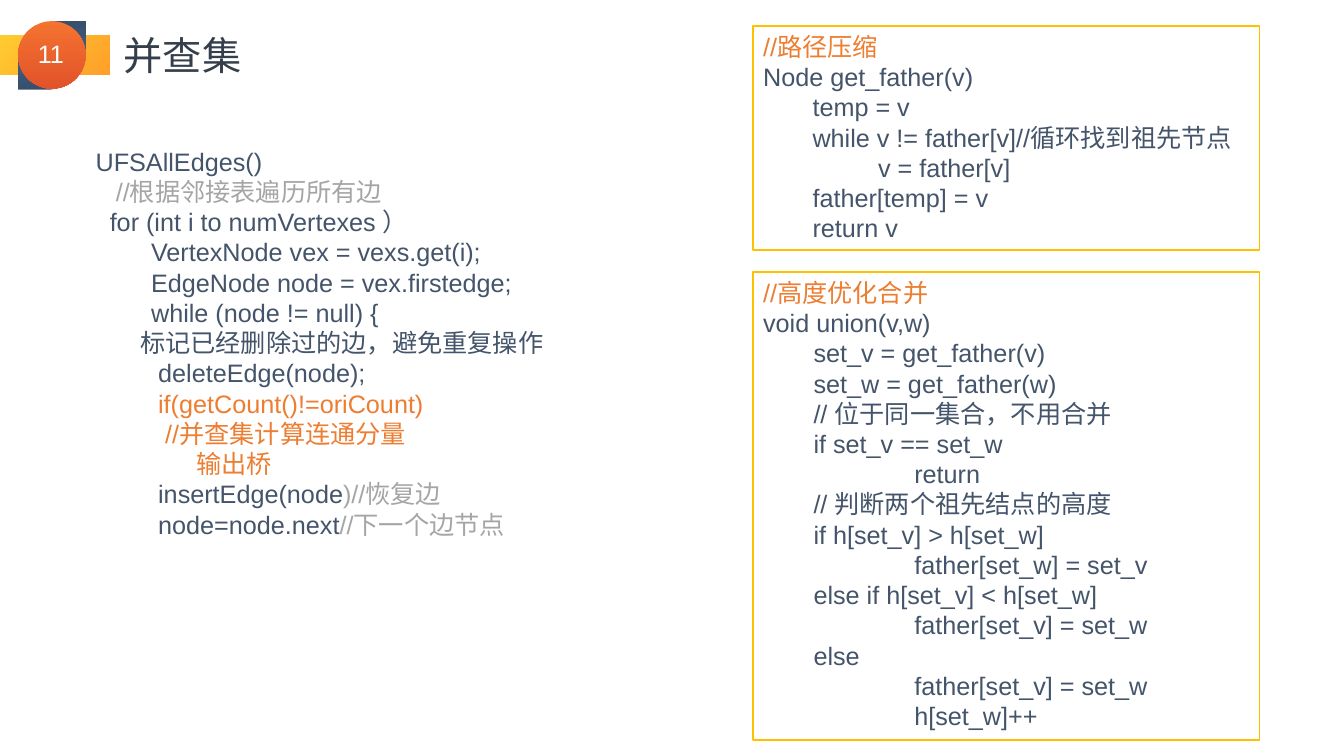
from pptx import Presentation
from pptx.dml.color import RGBColor
from pptx.enum.shapes import MSO_SHAPE
from pptx.enum.text import MSO_ANCHOR, PP_ALIGN
from pptx.util import Inches, Pt

COLORS = {
    "white": "FFFFFF", "code": "44546A", "accent": "ED7D31", "muted": "A5A5A5",
    "title": "353F4B", "frame": "FFC000", "yellow": "FFCC30", "amber": "FF9F2A",
    "navy": "384F6E", "steel": "4A6C90", "orange": "F47331", "rust": "E25329",
}

# Each code line: indent in inches, then (text, colour) pieces
ALL_EDGES = [
    (0, ("UFSAllEdges()", "code")),
    (0.2, ("//根据邻接表遍历所有边", "muted")),
    (0.14, ("for (int i to numVertexes ）", "code")),
    (0.55, ("VertexNode vex = vexs.get(i);", "code")),
    (0.55, ("EdgeNode node = vex.firstedge;", "code")),
    (0.55, ("while (node != null) {", "code")),
    (0.44, ("标记已经删除过的边，避免重复操作", "code")),
    (0.62, ("deleteEdge(node);", "code")),
    (0.62, ("if(getCount()!=oriCount)", "accent")),
    (0.69, ("//并查集计算连通分量", "accent")),
    (1, ("输出桥", "accent")),
    (0.62, ("insertEdge(node", "code"), (")//恢复边", "muted")),
    (0.62, ("node=node.next", "code"), ("//下一个边节点", "muted")),
]
PATH_COMPRESSION = [
    (0, ("//路径压缩", "accent")),
    (0, ("Node get_father(v)", "code")),
    (0.49, ("temp = v", "code")),
    (0.49, ("while v != father[v]//循环找到祖先节点", "code")),
    (1.14, ("v = father[v]", "code")),
    (0.49, ("father[temp] = v", "code")),
    (0.49, ("return v", "code")),
]
UNION_BY_HEIGHT = [
    (0, ("//高度优化合并", "accent")),
    (0, ("void union(v,w)", "code")),
    (0.5, ("set_v = get_father(v)", "code")),
    (0.5, ("set_w = get_father(w)", "code")),
    (0.5, ("// 位于同一集合，不用合并", "code")),
    (0.5, ("if set_v == set_w", "code")),
    (1.5, ("return", "code")),
    (0.5, ("// 判断两个祖先结点的高度", "code")),
    (0.5, ("if h[set_v] > h[set_w]", "code")),
    (1.5, ("father[set_w] = set_v", "code")),
    (0.5, ("else if h[set_v] < h[set_w]", "code")),
    (1.5, ("father[set_v] = set_w", "code")),
    (0.5, ("else", "code")),
    (1.5, ("father[set_v] = set_w", "code")),
    (1.5, ("h[set_w]++", "code")),
]


class SlideBuilder:
    def __init__(self, slide, font="Arial", size=18):
        self.slide, self.font, self.size = slide, font, size

    def color(self, name):
        return RGBColor.from_string(COLORS[name])

    def shape(self, kind, box):
        shape = self.slide.shapes.add_shape(kind, *map(Inches, box))
        shape.shadow.inherit = False
        return shape

    def gradient(self, kind, box, colors, angle=90, rotation=0):
        shape = self.shape(kind, box)
        shape.rotation = rotation
        shape.line.fill.background()
        shape.fill.gradient()
        shape.fill.gradient_angle = 360 - angle
        for stop, name in zip(shape.fill.gradient_stops, colors):
            stop.color.rgb = self.color(name)

    def label(self, box, text, color, font=None, size=None, align=PP_ALIGN.LEFT):
        label = self.slide.shapes.add_textbox(*map(Inches, box))
        label.text_frame.word_wrap = False
        paragraph = label.text_frame.paragraphs[0]
        paragraph.text = text
        paragraph.alignment = align
        self.style(paragraph, font, size)
        paragraph.font.color.rgb = self.color(color)

    def style(self, paragraph, font=None, size=None):
        paragraph.font.name = font or self.font
        paragraph.font.size = Pt(size or self.size)

    def code(self, box, lines):
        listing = self.slide.shapes.add_textbox(*map(Inches, box))
        self.fill_lines(listing.text_frame, lines)

    def framed_code(self, box, lines):
        frame = self.shape(MSO_SHAPE.RECTANGLE, box)
        frame.fill.solid()
        frame.fill.fore_color.rgb = self.color("white")
        frame.line.color.rgb = self.color("frame")
        frame.line.width = Pt(1)
        self.fill_lines(frame.text_frame, lines)

    def fill_lines(self, text_frame, lines):
        text_frame.word_wrap = True
        text_frame.vertical_anchor = MSO_ANCHOR.TOP
        for number, (indent, *pieces) in enumerate(lines):
            paragraph = text_frame.add_paragraph() if number else text_frame.paragraphs[0]
            paragraph.alignment = PP_ALIGN.LEFT
            self.style(paragraph)
            properties = paragraph._p.get_or_add_pPr()
            properties.set("marL", str(Inches(indent)))
            properties.set("indent", "0")
            if len(pieces) == 1:
                paragraph.font.color.rgb = self.color(pieces[0][1])
            for text, color in pieces:
                run = paragraph.add_run()
                run.text = text
                if len(pieces) > 1:
                    run.font.color.rgb = self.color(color)


def main():
    deck = Presentation()
    deck.slide_width, deck.slide_height = Inches(13.33), Inches(7.5)
    page = SlideBuilder(deck.slides.add_slide(deck.slide_layouts[6]))

    # Page number badge
    page.gradient(MSO_SHAPE.RECTANGLE, (0, 0.35, 1.09, 0.39), ("yellow", "amber"), angle=45)
    page.gradient(MSO_SHAPE.TEAR, (0.28, 0.21, 0.58, 0.58), ("navy", "steel"))
    page.gradient(MSO_SHAPE.TEAR, (0.18, 0.31, 0.58, 0.58), ("navy", "steel"), rotation=180)
    page.gradient(MSO_SHAPE.OVAL, (0.18, 0.21, 0.67, 0.67), ("orange", "rust"))
    page.label((0.25, 0.33, 0.51, 0.4), "11", "white", align=PP_ALIGN.CENTER)

    # Title
    page.label((1.13, 0.26, 1.38, 0.57), "并查集", "title", "Noto Sans CJK SC", 28)

    # Code listings
    page.framed_code((7.47, 0.26, 5.02, 2.22), PATH_COMPRESSION)
    page.framed_code((7.47, 2.7, 5.02, 4.64), UNION_BY_HEIGHT)
    page.code((0.85, 1.4, 5.79, 4.04), ALL_EDGES)

    deck.save("out.pptx")


if __name__ == "__main__":
    main()
